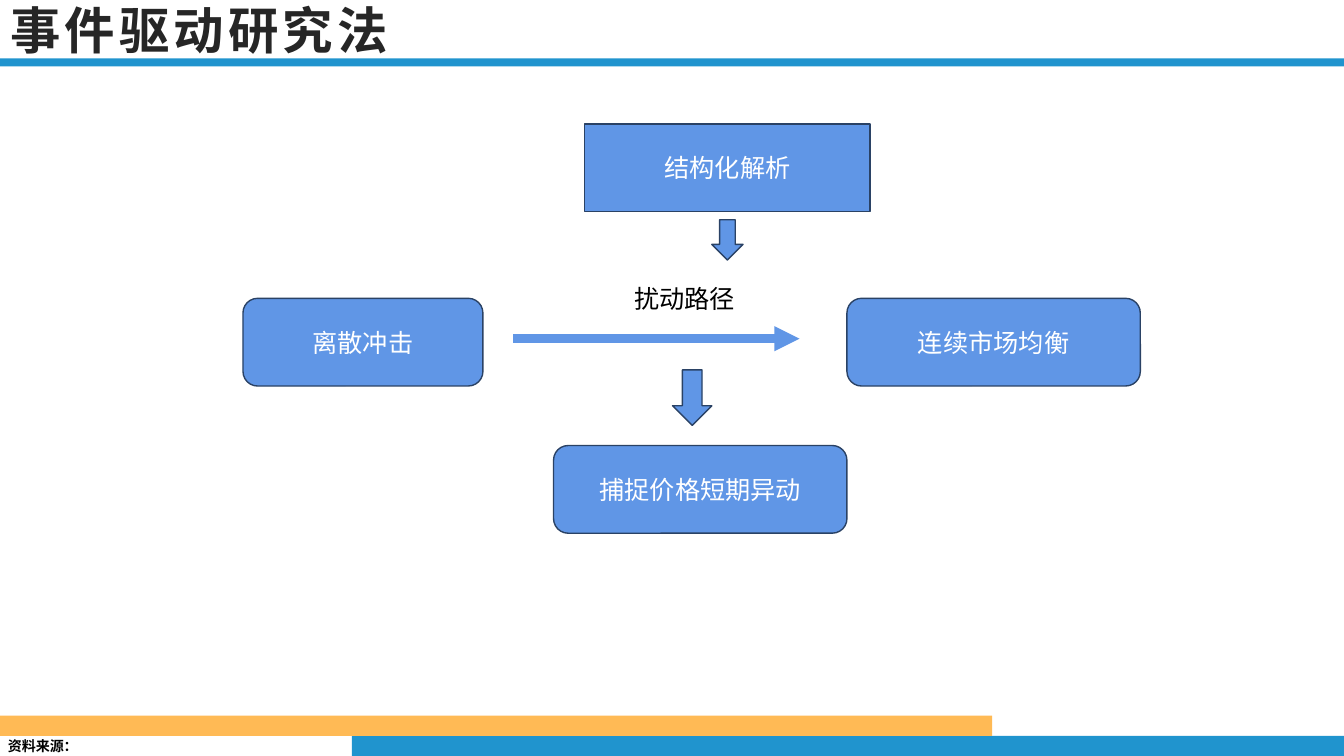
from dataclasses import dataclass

from lxml.etree import SubElement
from pptx import Presentation
from pptx.dml.color import RGBColor as RGB
from pptx.enum.shapes import MSO_CONNECTOR as LINE, MSO_SHAPE as SHAPE
from pptx.enum.text import MSO_ANCHOR as ANCHOR, MSO_AUTO_SIZE as FIT, PP_ALIGN as ALIGN
from pptx.oxml.ns import qn
from pptx.util import Emu, Pt

PX = 9144  # 100 px to the inch


@dataclass(frozen=True)
class Theme:
    blue: str = "2094CE"
    gold: str = "FFBA55"
    node: str = "6096E6"
    edge: str = "2A4265"
    white: str = "FFFFFF"
    black: str = "000000"
    ink: str = "262626"
    latin: str = "Arial"
    han: str = "Noto Sans CJK SC"
    head: int = 36
    body: int = 18
    note: int = 10


def px(*vals):
    return [Emu(v * PX) for v in vals]


class Board:
    def __init__(self, slide, theme):
        self.slide, self.theme = slide, theme

    def letter(self, frame, text, size, color, font, bold=False, align=ALIGN.LEFT, space=0):
        """Set the text of a frame and format its runs."""
        frame.text = text
        frame.vertical_anchor = ANCHOR.MIDDLE
        para = frame.paragraphs[0]
        para.alignment = align
        for run in para.runs:
            run.font.size, run.font.bold, run.font.name = Pt(size), bold, font
            run.font.color.rgb = RGB.from_string(color)
            props = run._r.get_or_add_rPr()
            SubElement(props, qn("a:ea")).set("typeface", self.theme.han)
            if space:
                props.set("spc", str(space * 100))

    def title(self, text, *box):
        t, item = self.theme, self.slide.shapes.title
        item.left, item.top, item.width, item.height = px(*box)
        item.text_frame.auto_size = FIT.NONE
        self.letter(item.text_frame, text, t.head, t.ink, t.han, True, space=3)

    def label(self, text, *box, size, font, bold=False):
        frame = self.slide.shapes.add_textbox(*px(*box)).text_frame
        frame.word_wrap = False
        self.letter(frame, text, size, self.theme.black, font, bold)

    def shape(self, kind, *box, fill, edge=None):
        item = self.slide.shapes.add_shape(kind, *px(*box))
        item.shadow.inherit = False
        item.fill.solid()
        item.fill.fore_color.rgb = RGB.from_string(fill)
        if edge:
            item.line.color.rgb = RGB.from_string(edge)
            item.line.width = Pt(1)
        else:
            item.line.fill.background()
        return item

    def bar(self, color, *box):
        self.shape(SHAPE.RECTANGLE, *box, fill=color)

    def node(self, text, *box, kind=SHAPE.ROUNDED_RECTANGLE):
        t = self.theme
        item = self.shape(kind, *box, fill=t.node, edge=t.edge)
        self.letter(item.text_frame, text, t.body, t.white, t.latin, align=ALIGN.CENTER)

    def down(self, *box):
        self.shape(SHAPE.DOWN_ARROW, *box, fill=self.theme.node, edge=self.theme.edge)

    def arrow(self, *ends):
        link = self.slide.shapes.add_connector(LINE.STRAIGHT, *px(*ends))
        link.line.color.rgb = RGB.from_string(self.theme.node)
        link.line.width = Pt(6)
        SubElement(link.line._get_or_add_ln(), qn("a:tailEnd")).set("type", "triangle")
        SubElement(link._element.spPr, qn("a:effectLst"))


def main():
    deck = Presentation()
    deck.slide_width, deck.slide_height = px(1333, 750)
    theme = Theme()
    board = Board(deck.slides.add_slide(deck.slide_layouts[5]), theme)

    board.bar(theme.blue, 349, 730, 984, 20)
    board.bar(theme.gold, 0, 710, 984, 20)
    board.bar(theme.blue, 0, 58, 1333, 8)
    board.label("资料来源：", -2, 727, 79, 27, size=theme.note, font=theme.han, bold=True)
    board.title("事件驱动研究法", 0, 0, 1144, 58)

    tall = 87
    board.node("离散冲击", 241, 296, 238, tall)
    board.node("连续市场均衡", 840, 296, 291, tall)
    board.arrow(509, 336, 793, 336)
    board.label("扰动路径", 619, 276, 134, 40, size=theme.body, font=theme.latin)
    board.node("结构化解析", 580, 123, 283, tall, kind=SHAPE.RECTANGLE)
    board.down(706, 218, 31, 40)
    board.down(667, 367, 39, 55)
    board.node("捕捉价格短期异动", 549, 442, 291, tall)

    deck.save("out.pptx")


if __name__ == "__main__":
    main()
